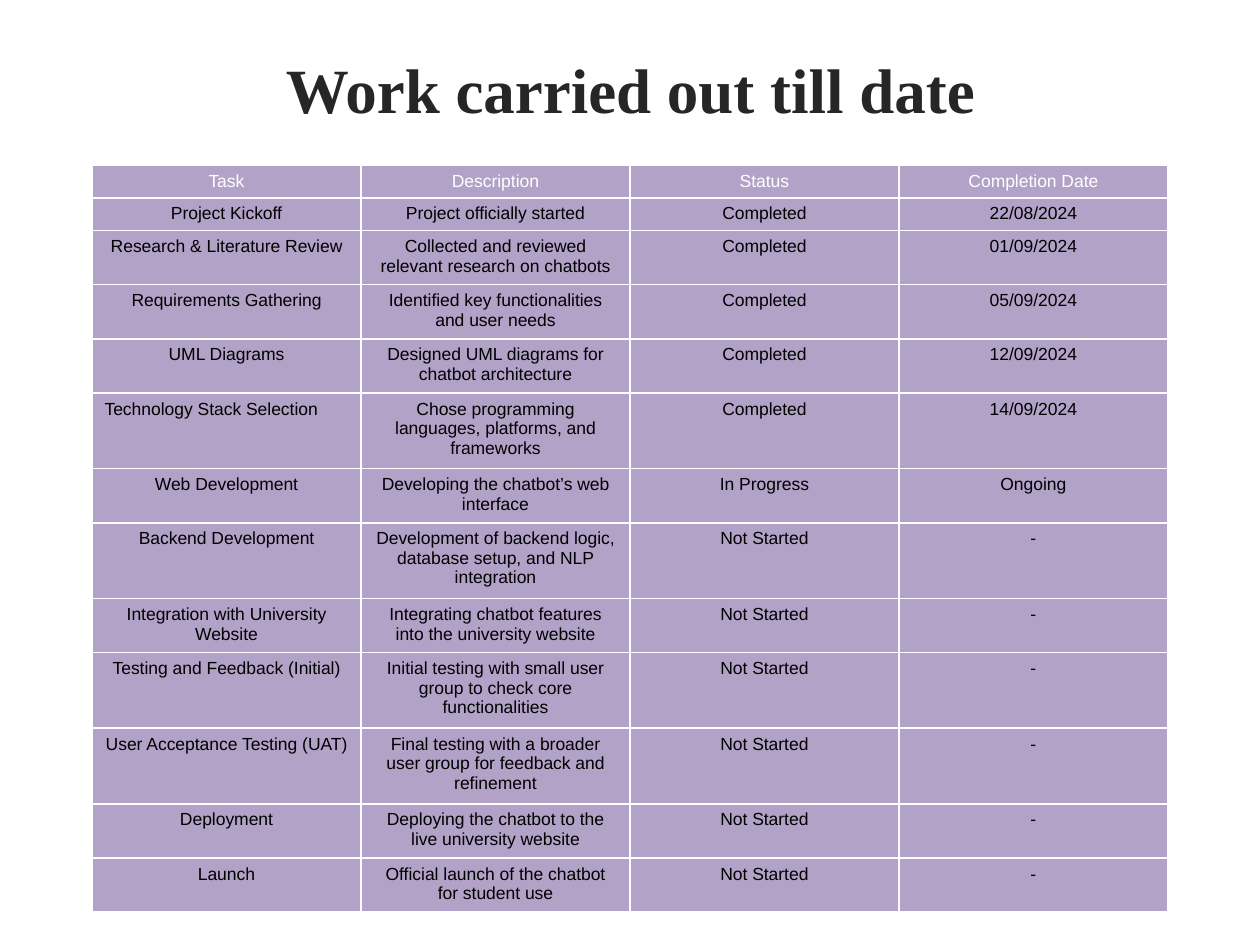
"""Build the project progress slide: a title above a task status table."""
import dataclasses

import pptx
import pptx.dml.color
import pptx.enum.text
import pptx.util

TITLE = "Work carried out till date"
HEADER = ("Task", "Description", "Status", "Completion Date")
DONE, ACTIVE, PENDING = "Completed", "In Progress", "Not Started"
TASKS = [
    ("Project Kickoff", "Project officially started", DONE, "22/08/2024"),
    ("Research & Literature Review", "Collected and reviewed relevant research on chatbots", DONE, "01/09/2024"),
    ("Requirements Gathering", "Identified key functionalities and user needs", DONE, "05/09/2024"),
    ("UML Diagrams", "Designed UML diagrams for chatbot architecture", DONE, "12/09/2024"),
    ("Technology Stack Selection", "Chose programming languages, platforms, and frameworks", DONE, "14/09/2024"),
    ("Web Development", "Developing the chatbot’s web interface", ACTIVE, "Ongoing"),
    ("Backend Development", "Development of backend logic, database setup, and NLP integration", PENDING, "-"),
    ("Integration with University Website", "Integrating chatbot features into the university website", PENDING, "-"),
    ("Testing and Feedback (Initial)", "Initial testing with small user group to check core functionalities", PENDING, "-"),
    ("User Acceptance Testing (UAT)", "Final testing with a broader user group for feedback and refinement", PENDING, "-"),
    ("Deployment", "Deploying the chatbot to the live university website", PENDING, "-"),
    ("Launch", "Official launch of the chatbot for student use", PENDING, "-"),
]
ROW_LINES = (1, 1, 2, 2, 2, 3, 2, 3, 2, 3, 3, 2, 2)
LEFT_ALIGNED = {"Technology Stack Selection"}

WIDTH, HEIGHT = 10, 7.5
TITLE_BOX = (1.49, 0.39, 7.03, 0.62)
TABLE_LEFT, TABLE_TOP, TABLE_WIDTH = 0.73, 1.31, 8.54
FIRST_LINE, NEXT_LINE = 0.26, 0.17


@dataclasses.dataclass(frozen=True)
class Theme:
    title_font: str = "Times New Roman"
    table_font: str = "Arial"
    title_size: int = 36
    table_size: int = 10
    title_color: str = "262626"
    header_color: str = "FFFFFF"
    body_color: str = "000000"
    cell_fill: str = "B3A2C7"


THEME = Theme()
ALIGN = pptx.enum.text.PP_ALIGN


def style_paragraph(paragraph, name, size, color, bold=False, alignment=ALIGN.CENTER):
    paragraph.alignment = alignment
    font = paragraph.font
    font.name, font.size, font.bold = name, pptx.util.Pt(size), bold
    font.color.rgb = pptx.dml.color.RGBColor.from_string(color)


def add_title(slide):
    title = slide.shapes.title
    title.left, title.top, title.width, title.height = map(pptx.util.Inches, TITLE_BOX)
    frame = title.text_frame
    frame.text = TITLE
    frame.margin_left = frame.margin_right = frame.margin_bottom = 0
    frame.margin_top = pptx.util.Inches(0.01)
    frame.vertical_anchor = pptx.enum.text.MSO_ANCHOR.TOP
    style_paragraph(frame.paragraphs[0], THEME.title_font, THEME.title_size, THEME.title_color, bold=True)


def add_task_table(slide):
    heights = [FIRST_LINE + NEXT_LINE * (lines - 1) for lines in ROW_LINES]
    box = map(pptx.util.Inches, (TABLE_LEFT, TABLE_TOP, TABLE_WIDTH, sum(heights)))
    table = slide.shapes.add_table(len(heights), len(HEADER), *box).table
    for row, height in zip(table.rows, heights):
        row.height = pptx.util.Inches(height)
    for row_index, values in enumerate([HEADER, *TASKS]):
        color = THEME.body_color if row_index else THEME.header_color
        for column_index, value in enumerate(values):
            cell = table.cell(row_index, column_index)
            cell.text = value
            cell.fill.solid()
            cell.fill.fore_color.rgb = pptx.dml.color.RGBColor.from_string(THEME.cell_fill)
            alignment = ALIGN.LEFT if value in LEFT_ALIGNED else ALIGN.CENTER
            style_paragraph(cell.text_frame.paragraphs[0], THEME.table_font, THEME.table_size, color,
                            alignment=alignment)


def main():
    presentation = pptx.Presentation()
    presentation.slide_width = pptx.util.Inches(WIDTH)
    presentation.slide_height = pptx.util.Inches(HEIGHT)
    slide = presentation.slides.add_slide(presentation.slide_layouts.get_by_name("Title Only"))
    add_title(slide)
    add_task_table(slide)
    presentation.save("out.pptx")


if __name__ == "__main__":
    main()
